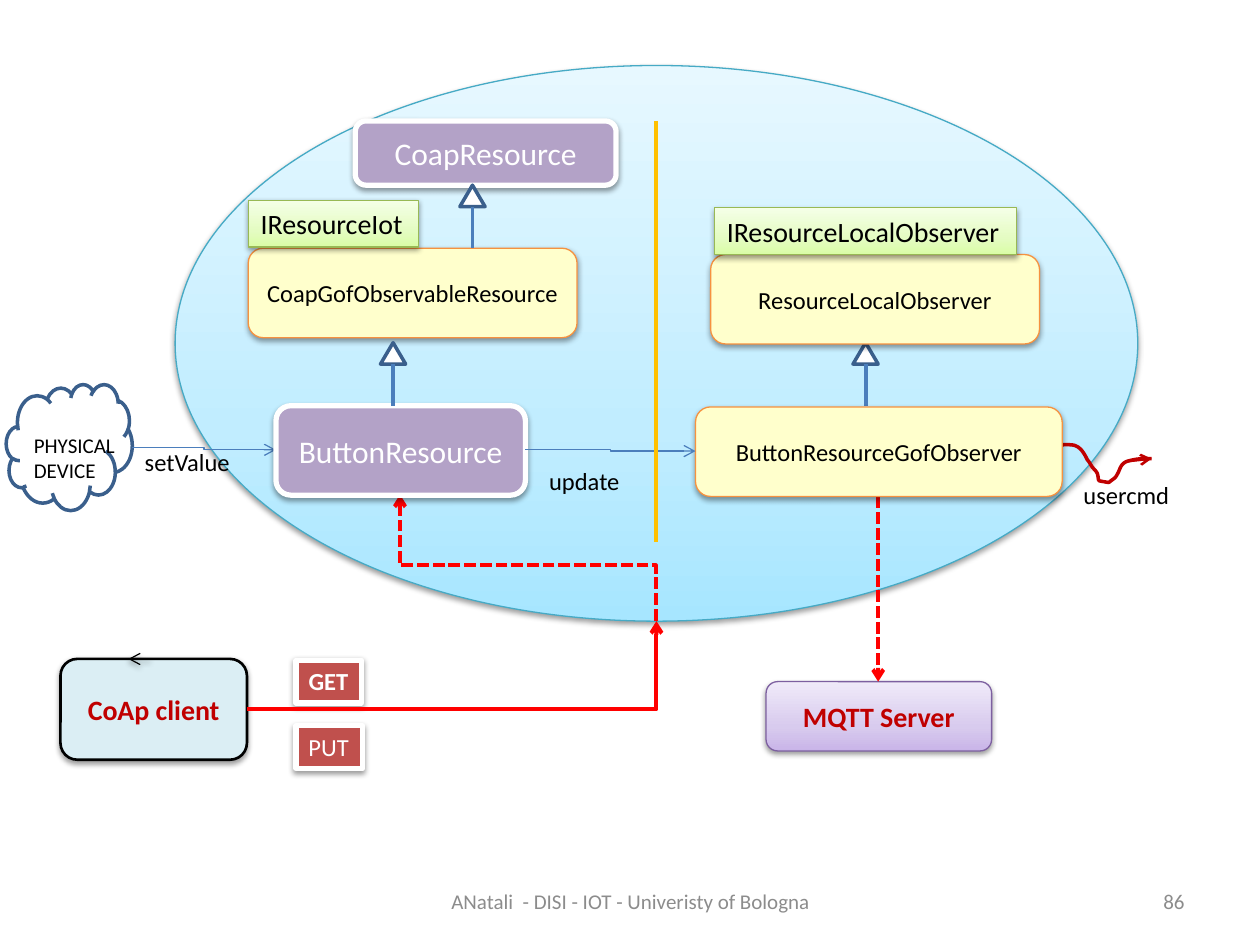
"""Build the slide of a button resource observed over CoAP and MQTT."""
import copy

import pptx
import pptx.util
import pptx.dml.color
import pptx.enum.dml
import pptx.enum.shapes
import pptx.enum.text
import pptx.oxml
import pptx.oxml.ns

Inches = pptx.util.Inches
RGBColor = pptx.dml.color.RGBColor
KIND = pptx.enum.shapes.MSO_SHAPE
LINK = pptx.enum.shapes.MSO_CONNECTOR
ALIGN = pptx.enum.text.PP_ALIGN
ANCHOR = pptx.enum.text.MSO_ANCHOR
DASH = pptx.enum.dml.MSO_LINE.SQUARE_DOT
qn = pptx.oxml.ns.qn

BLACK = RGBColor(0, 0, 0)
WHITE = RGBColor(255, 255, 255)
GRAY = RGBColor(0x8C, 0x8C, 0x8C)
RED = RGBColor(255, 0, 0)
DARK_RED = RGBColor(0xC0, 0, 0)
BRICK = RGBColor(0xC0, 0x50, 0x4D)
BLUE = RGBColor(0x4B, 0x7E, 0xBC)
NAVY = RGBColor(0x3A, 0x5F, 0x8C)
TEAL = RGBColor(0x46, 0xAA, 0xC5)
PALE_TEAL = RGBColor(0xDB, 0xEE, 0xF4)
LILAC = RGBColor(0xB3, 0xA2, 0xC7)
PURPLE = RGBColor(0x7D, 0x60, 0xA0)
CREAM = RGBColor(0xFF, 0xFF, 0xCC)
ORANGE = RGBColor(0xF6, 0x92, 0x40)
GREEN = RGBColor(0x98, 0xB9, 0x55)
GOLD = RGBColor(0xFF, 0xC0, 0)
SKY_FADE = [RGBColor(0xA7, 0xE6, 0xFF), RGBColor(0xC1, 0xED, 0xFF), RGBColor(0xE7, 0xF8, 0xFF)]
LIME_FADE = [RGBColor(0xDA, 0xFD, 0xA7), RGBColor(0xE4, 0xFC, 0xC2), RGBColor(0xF5, 0xFF, 0xE7)]
VIOLET_FADE = [RGBColor(0xC9, 0xB5, 0xE8), RGBColor(0xD8, 0xCB, 0xEE), RGBColor(0xF0, 0xEA, 0xF9)]

SHADOW = (
    '<a:effectLst xmlns:a="http://schemas.openxmlformats.org/drawingml/2006/main">'
    '<a:outerShdw blurRad="40000" dist="20000" dir="5400000" rotWithShape="0">'
    '<a:srgbClr val="000000"><a:alpha val="38000"/></a:srgbClr>'
    '</a:outerShdw></a:effectLst>'
)

USER_PATH = [
    (8.27, 3.71), (8.29, 3.68), (8.31, 3.6), (8.35, 3.58),
    (8.36, 3.57), (8.37, 3.55), (8.39, 3.54),
    (8.41, 3.53), (8.44, 3.53), (8.47, 3.53),
    (8.49, 3.53), (8.52, 3.53), (8.54, 3.54),
    (8.59, 3.56), (8.62, 3.63), (8.63, 3.65),
    (8.65, 3.67), (8.66, 3.7), (8.68, 3.72),
    (8.69, 3.73), (8.7, 3.74), (8.71, 3.76),
    (8.73, 3.83), (8.69, 3.81), (8.8, 3.83),
    (8.85, 3.79), (8.85, 3.8), (8.87, 3.76),
    (8.89, 3.73), (8.89, 3.68), (8.95, 3.66),
    (9.03, 3.64), (9.06, 3.64), (9.14, 3.64),
]


def write(shape, text, size=14, color=BLACK, bold=False, align=ALIGN.LEFT,
          anchor=ANCHOR.TOP, wrap=False):
    """Fill a shape with formatted text, one paragraph per line."""
    frame = shape.text_frame
    frame.word_wrap = wrap
    frame.vertical_anchor = anchor
    for index, words in enumerate(text.split("\n")):
        para = frame.add_paragraph() if index else frame.paragraphs[0]
        para.alignment = align
        span = para.add_run()
        span.text = words
        span.font.name = "Calibri"
        span.font.size = pptx.util.Pt(size)
        span.font.bold = bold
        span.font.color.rgb = color


def add_text(page, place, text, **style):
    """Add a text box at (left, top, width, height)."""
    write(page.shapes.add_textbox(*map(Inches, place)), text, **style)


def paint(shape, fill):
    """Fill a shape with one colour or a bottom-to-top fade."""
    if not isinstance(fill, list):
        shape.fill.solid()
        shape.fill.fore_color.rgb = fill
        return
    shape.fill.gradient()
    shape.fill.gradient_angle = 90
    stops = shape.element.spPr.find(".//" + qn("a:gsLst"))
    stops.insert(1, copy.deepcopy(stops[0]))
    for stop, color, position in zip(shape.fill.gradient_stops, fill, (0, 0.35, 1)):
        stop.color.rgb = color
        stop.position = position


def set_line(line, color, width, dash=None):
    """Set the colour, width and dash of a line."""
    line.color.rgb = color
    line.width = pptx.util.Pt(width)
    if dash:
        line.dash_style = dash


def add_box(page, kind, place, fill, edge, width=0.75, shadow=True):
    """Add a preset shape with fill, outline and optional soft shadow."""
    box = page.shapes.add_shape(kind, *map(Inches, place))
    paint(box, fill)
    set_line(box.line, edge, width)
    if shadow:
        box.element.spPr.append(pptx.oxml.parse_xml(SHADOW))
    else:
        box.shadow.inherit = False
    return box


def add_node(page, place, text, fill, edge, width=0.75, **style):
    """Add a rounded box with centred text."""
    box = add_box(page, KIND.ROUNDED_RECTANGLE, place, fill, edge, width)
    write(box, text, align=ALIGN.CENTER, anchor=ANCHOR.MIDDLE, wrap=True, **style)


def add_tag(page, place, text, fill, edge, width=0.75, **style):
    """Add a square label with left-aligned text."""
    write(add_box(page, KIND.RECTANGLE, place, fill, edge, width), text, **style)


def add_link(page, start, end, color, width, kind=LINK.STRAIGHT, arrow=True,
             dash=None, preset=None, turn=0, bend=None, shadow=False):
    """Add a connector, optionally bent, turned and arrow-headed."""
    link = page.shapes.add_connector(kind, *map(Inches, start + end))
    set_line(link.line, color, width, dash)
    shape = link.element.spPr
    if arrow:
        pptx.oxml.ns.qn
        tip = shape.find(qn("a:ln")).makeelement(qn("a:tailEnd"), {"type": "arrow"})
        shape.find(qn("a:ln")).append(tip)
    effects = pptx.oxml.parse_xml(SHADOW)
    if not shadow:
        effects.remove(effects[0])
    shape.append(effects)
    geometry = shape.find(qn("a:prstGeom"))
    if preset:
        geometry.set("prst", preset)
    if bend:
        guide = geometry.makeelement(qn("a:gd"), {"name": "adj1", "fmla": f"val {bend}"})
        geometry.find(qn("a:avLst")).append(guide)
    if turn:
        shape.find(qn("a:xfrm")).set("rot", str(turn * 60000))


def add_inheritance(page, center, top, bottom):
    """Add a hollow triangle on a stem that starts at the subclass."""
    add_box(page, KIND.ISOSCELES_TRIANGLE, (center - 0.1, top, 0.2, 0.17),
            WHITE, NAVY, 2, shadow=False)
    add_link(page, (center, top + 0.17), (center, bottom), BLUE, 2.25, arrow=False)


def add_curve(page, points, color, width, steps=8):
    """Draw joined cubic curves as one open outline."""
    places = []
    for first in range(0, len(points) - 1, 3):
        for step in range(1, steps + 1):
            t = step / steps
            weights = ((1 - t) ** 3, 3 * t * (1 - t) ** 2, 3 * t * t * (1 - t), t ** 3)
            places.append(tuple(
                Inches(sum(w * point[axis] for w, point in zip(weights, points[first:first + 4])))
                for axis in (0, 1)))
    builder = page.shapes.build_freeform(*map(Inches, points[0]))
    builder.add_line_segments(places, close=False)
    curve = builder.convert_to_shape()
    curve.fill.background()
    curve.shadow.inherit = False
    set_line(curve.line, color, width)


def add_outside(page):
    """Add the device, the user command, the client and the server."""
    add_box(page, KIND.CLOUD, (0.05, 3.05, 1, 1), WHITE, NAVY, 2, shadow=False)
    add_text(page, (0.17, 3.38, 0.85, 0.5), "PHYSICAL\nDEVICE", size=12)
    add_link(page, (1.05, 3.55), (2.19, 3.57), BLUE, 0.75, LINK.ELBOW)
    add_text(page, (1.05, 3.5, 0.89, 0.34), "setValue")
    add_curve(page, USER_PATH, DARK_RED, 2)
    add_link(page, (8.95, 3.66), (9.14, 3.64), DARK_RED, 1.5)
    add_text(page, (8.5, 3.76, 0.89, 0.34), "usercmd")
    add_node(page, (0.48, 5.23, 1.48, 0.8), "CoAp client", PALE_TEAL, BLACK, 1.5,
             size=16, color=DARK_RED, bold=True)
    add_link(page, (1.19, 5.23), (1.02, 5.23), BLACK, 0.75, shadow=True)
    add_tag(page, (2.35, 5.24, 0.52, 0.34), "GET", BRICK, WHITE, 3, color=WHITE, bold=True)
    add_tag(page, (2.35, 5.76, 0.53, 0.34), "PUT", BRICK, WHITE, 3, color=WHITE)
    add_link(page, (1.96, 5.63), (5.21, 4.93), RED, 2.25, LINK.ELBOW, preset="bentConnector2")
    add_link(page, (4.69, 3.41), (3.69, 5.44), RED, 2.25, LINK.ELBOW, dash=DASH,
             turn=90, bend=43900)
    add_node(page, (6.08, 5.41, 1.79, 0.55), "MQTT Server", VIOLET_FADE, PURPLE,
             size=16, color=DARK_RED, bold=True)
    add_link(page, (6.97, 3.94), (6.97, 5.41), RED, 2.25, dash=DASH)


def add_classes(page):
    """Add the resource and observer class hierarchies."""
    add_node(page, (2.19, 3.22, 1.98, 0.71), "ButtonResource", LILAC, WHITE, 3,
             size=18, color=WHITE)
    add_node(page, (1.97, 1.97, 2.61, 0.71), "CoapGofObservableResource", CREAM, ORANGE)
    add_inheritance(page, 6.87, 2.72, 3.22)
    add_inheritance(page, 3.12, 2.72, 3.22)
    add_tag(page, (1.97, 1.59, 1.35, 0.37), "IResourceIot", LIME_FADE, GREEN, size=16)
    add_node(page, (5.52, 3.23, 2.91, 0.71), "ButtonResourceGofObserver", CREAM, ORANGE)
    add_link(page, (4.17, 3.57), (5.52, 3.58), BLUE, 0.75, LINK.ELBOW)
    add_text(page, (4.26, 3.65, 0.77, 0.34), "update")
    add_node(page, (5.64, 2.02, 2.61, 0.71), "ResourceLocalObserver", CREAM, ORANGE)
    add_tag(page, (5.67, 1.65, 2.4, 0.37), "IResourceLocalObserver", LIME_FADE, GREEN, size=16)
    add_node(page, (2.82, 0.96, 2.07, 0.51), "CoapResource", LILAC, WHITE, 3,
             size=18, color=WHITE)
    add_inheritance(page, 3.75, 1.47, 1.97)
    add_link(page, (5.21, 0.96), (5.21, 4.3), GOLD, 2.25, arrow=False)


def main():
    """Build and save the deck."""
    deck = pptx.Presentation()
    deck.slide_width, deck.slide_height = Inches(10), Inches(7.5)
    page = deck.slides.add_slide(deck.slide_layouts[6])
    add_box(page, KIND.OVAL, (1.39, 0.52, 7.64, 4.41), SKY_FADE, TEAL)
    footer = {"size": 12, "color": GRAY, "anchor": ANCHOR.MIDDLE, "wrap": True}
    add_text(page, (3.42, 6.95, 3.17, 0.4), "ANatali  - DISI - IOT - Univeristy of Bologna",
             align=ALIGN.CENTER, **footer)
    add_text(page, (7.17, 6.95, 2.33, 0.4), "86", align=ALIGN.RIGHT, **footer)
    add_outside(page)
    add_classes(page)
    deck.save("out.pptx")


if __name__ == "__main__":
    main()
